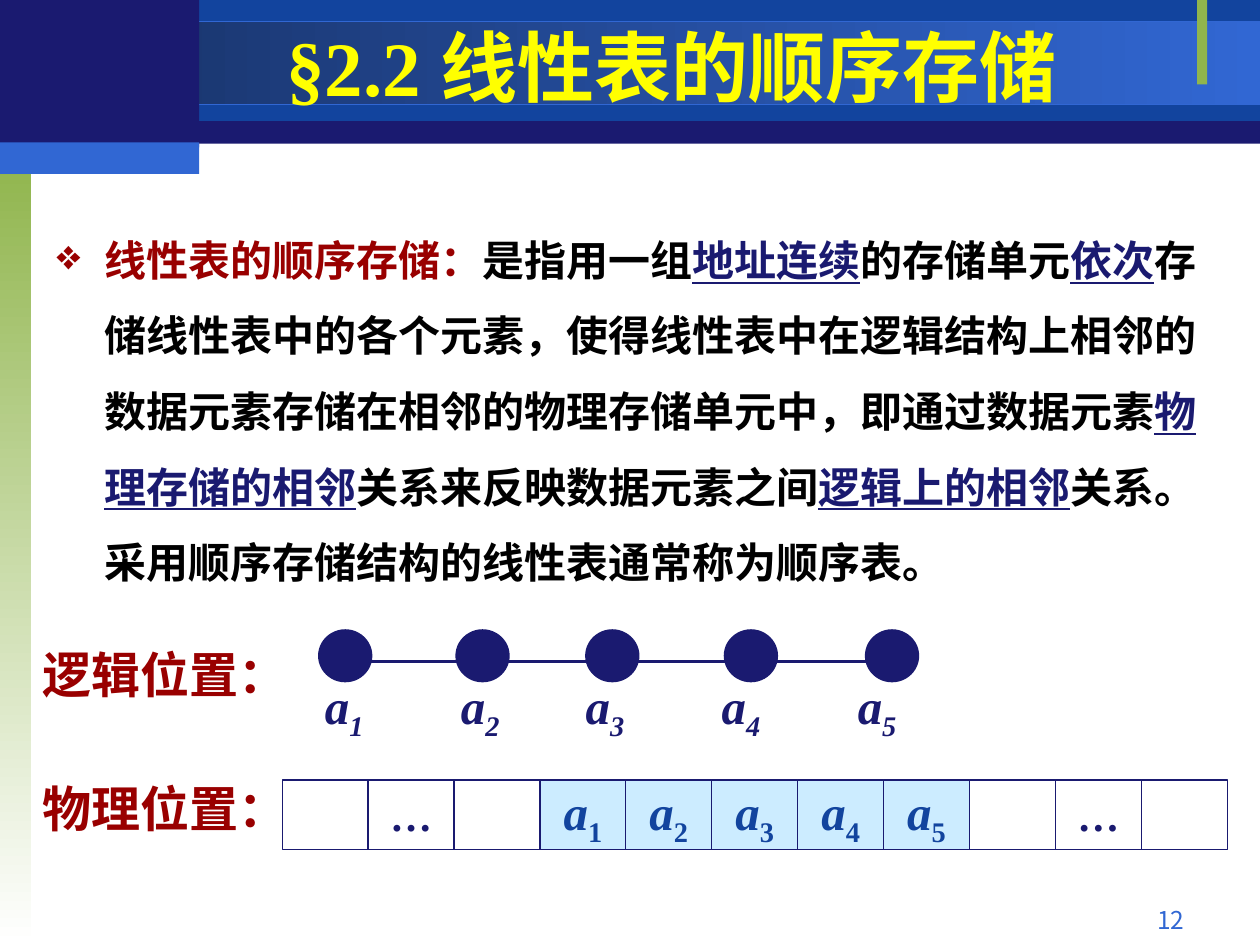
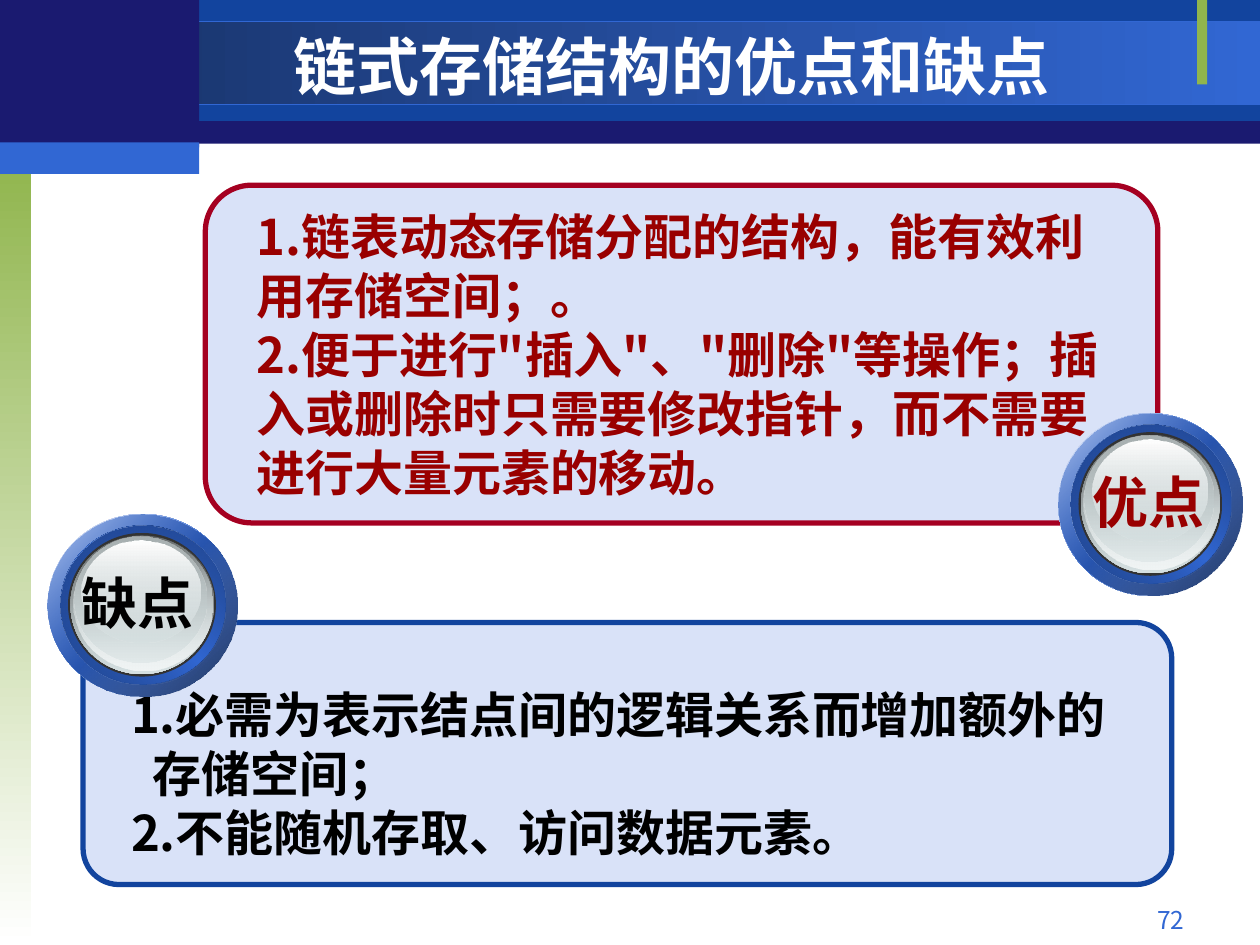
from lxml import etree
from pptx import Presentation
from pptx.dml.color import RGBColor
from pptx.enum import shapes, text
from pptx.oxml import ns
from pptx.util import Inches, Pt

# Colours
NAVY = RGBColor(0x1A, 0x1A, 0x70)
BLUE = RGBColor(0x12, 0x44, 0x9E)
BRIGHT = RGBColor(0x31, 0x67, 0xD3)
DEEP = RGBColor(0x17, 0x30, 0x62)
RIM = RGBColor(0x1B, 0x38, 0x72)
RIM_LIGHT = RGBColor(0x1F, 0x41, 0x86)
PANEL = RGBColor(0x87, 0xA3, 0xE9)
CELL = RGBColor(0xCC, 0xEC, 0xFF)
GREEN = RGBColor(0x90, 0xB5, 0x4D)
RED = RGBColor(0x99, 0x00, 0x00)
CRIMSON = RGBColor(0xA5, 0x00, 0x21)
YELLOW = RGBColor(0xFF, 0xFF, 0x00)
WHITE = RGBColor(0xFF, 0xFF, 0xFF)
BLACK = RGBColor(0x00, 0x00, 0x00)
CHARCOAL = RGBColor(0x33, 0x33, 0x33)
STEEL = RGBColor(0x63, 0x68, 0x69)
GREY = RGBColor(0xAA, 0xB2, 0xB3)
SILVER = RGBColor(0xD6, 0xE1, 0xE2)
PEARL = RGBColor(0xF1, 0xF5, 0xF5)

# Fonts
SANS = "Noto Sans CJK SC"
SERIF = "Times New Roman"
ARIAL = "Arial"

RECT = shapes.MSO_SHAPE.RECTANGLE
OVAL = shapes.MSO_SHAPE.OVAL
ROUND = shapes.MSO_SHAPE.ROUNDED_RECTANGLE
LEFT, CENTER, RIGHT = text.PP_ALIGN.LEFT, text.PP_ALIGN.CENTER, text.PP_ALIGN.RIGHT
TOP, MIDDLE = text.MSO_ANCHOR.TOP, text.MSO_ANCHOR.MIDDLE

# Layers of a glass badge: left, top, width, height, gradient stops
# (position, colour, opacity) and gradient angle
BADGE_LAYERS = [
    (0, 0, 1.46, 1.45, [(0, WHITE, 100), (50, BRIGHT, 100), (100, WHITE, 100)], 45),
    (0, 0, 1.46, 1.45, [(0, BRIGHT, 32), (100, DEEP, 100)], 45),
    (0.1, 0.09, 1.27, 1.26, [(0, RIM, 100), (50, BRIGHT, 100), (100, RIM, 100)], 315),
    (0.1, 0.09, 1.27, 1.26, [(0, RIM_LIGHT, 100), (100, BRIGHT, 0)], 45),
    (0.16, 0.15, 1.14, 1.14, [(0, CHARCOAL, 100), (100, CHARCOAL, 100)], 0),
    (0.18, 0.17, 1.1, 1.1, [(0, STEEL, 100), (100, SILVER, 100)], 90),
    (0.2, 0.17, 1.08, 1.07, [(0, SILVER, 0), (100, PEARL, 100)], 90),
    (0.21, 0.18, 1.02, 1, [(0, GREY, 100), (100, SILVER, 48)], 90),
    (0.27, 0.21, 0.91, 0.81, [(0, WHITE, 100), (100, SILVER, 38)], 90),
]


def set_opacity(color, percent):
    etree.SubElement(color, ns.qn("a:alpha")).set("val", str(percent * 1000))


def add_box(s, kind, x, y, w, h, fill=None, line=None, width=0.75):
    sp = s.shapes.add_shape(kind, Inches(x), Inches(y), Inches(w), Inches(h))
    sp.shadow.inherit = False
    if fill is None:
        sp.fill.background()
    else:
        sp.fill.solid()
        sp.fill.fore_color.rgb = fill
    if line is None:
        sp.line.fill.background()
    else:
        sp.line.color.rgb = line
        sp.line.width = Pt(width)
    return sp


def add_gradient(sp, stops, angle):
    """Replace the empty fill of a shape with a linear gradient."""
    grad = etree.Element(ns.qn("a:gradFill"), rotWithShape="1")
    stop_list = etree.SubElement(grad, ns.qn("a:gsLst"))
    for position, colour, opacity in stops:
        stop = etree.SubElement(stop_list, ns.qn("a:gs"), pos=str(position * 1000))
        color = etree.SubElement(stop, ns.qn("a:srgbClr"), val=str(colour))
        if opacity < 100:
            set_opacity(color, opacity)
    etree.SubElement(grad, ns.qn("a:lin"), ang=str(angle * 60000), scaled="0")
    props = sp._element.spPr
    props.replace(props.find(ns.qn("a:noFill")), grad)


def add_textbox(s, x, y, w, h, anchor=TOP, wrap=True):
    tf = s.shapes.add_textbox(Inches(x), Inches(y), Inches(w), Inches(h)).text_frame
    tf.word_wrap = wrap
    tf.vertical_anchor = anchor
    return tf


def add_run(p, words, size, colour, font=SANS, bold=True, italic=False,
            underline=False, subscript=False):
    r = p.add_run()
    r.text = words
    r.font.size = Pt(size)
    r.font.bold = bold
    r.font.italic = italic
    r.font.underline = underline
    r.font.color.rgb = colour
    r.font.name = font
    props = r._r.get_or_add_rPr()
    etree.SubElement(props, ns.qn("a:ea")).set("typeface", SANS)
    if subscript:
        props.set("baseline", "-25000")


def add_label(s, x, y, w, h, words, size, colour, font=SANS, align=LEFT,
              bold=True, anchor=TOP, wrap=True):
    p = add_textbox(s, x, y, w, h, anchor, wrap).paragraphs[0]
    p.alignment = align
    add_run(p, words, size, colour, font, bold)


def add_element_name(p, number, colour, italic_number):
    add_run(p, "a", 28, colour, SERIF, italic=True)
    add_run(p, str(number), 28, colour, SERIF, italic=italic_number, subscript=True)


def set_indent(p, margin, first):
    props = p._p.get_or_add_pPr()
    props.set("marL", str(Inches(margin)))
    props.set("indent", str(Inches(first)))
    return props


def add_frame(s, title, size, colour, font, number):
    """Header bands, side strip, title and page number."""
    add_box(s, RECT, 0, 0.01, 10, 1.13, NAVY)
    add_box(s, RECT, 1.58, 0, 8.42, 0.96, BLUE)
    band = add_box(s, RECT, 0, 0.17, 10, 0.66, line=BRIGHT)
    add_gradient(band, [(0, DEEP, 100), (100, BRIGHT, 100)], 0)
    strip = add_box(s, RECT, 0, 1.25, 0.25, 6.25)
    add_gradient(strip, [(0, GREEN, 100), (100, WHITE, 100)], 90)
    add_box(s, RECT, 9.5, 0, 0.08, 0.67, GREEN)
    add_box(s, RECT, 0, 0, 1.58, 1.17, NAVY)
    add_box(s, RECT, 0, 1.13, 1.58, 0.25, BRIGHT)
    add_label(s, 7.17, 7.13, 2.33, 0.27, number, 14, BRIGHT, align=RIGHT, bold=False)
    add_label(s, 1.58, 0.23, 7.5, 0.58, title, size, colour, font, CENTER, anchor=MIDDLE)


def add_definition(s):
    p = add_textbox(s, 0.35, 1.61, 9.29, 3.32).paragraphs[0]
    p.line_spacing = 1.5
    props = set_indent(p, 0.38, -0.38)
    bullet_colour = etree.SubElement(props, ns.qn("a:buClr"))
    etree.SubElement(bullet_colour, ns.qn("a:srgbClr"), val=str(RED))
    etree.SubElement(props, ns.qn("a:buChar"), char="❖")
    add_run(p, "线性表的顺序存储：", 24, RED)
    pieces = [
        "是指用一组", "地址连续", "的存储单元", "依次",
        "存储线性表中的各个元素，使得线性表中在逻辑结构上相邻的数据元素"
        "存储在相邻的物理存储单元中，即通过数据元素",
        "物理存储的相邻", "关系来反映数据元素之间", "逻辑上的相邻",
        "关系。采用顺序存储结构的线性表通常称为顺序表。",
    ]
    for i, piece in enumerate(pieces):  # every second piece is a key term
        key = i % 2 == 1
        add_run(p, piece, 24, NAVY if key else BLACK, underline=key)


def add_logical_row(s):
    add_label(s, 0.24, 5.07, 2.39, 0.56, "逻辑位置：", 28, RED, ARIAL)
    for x in (2.54, 3.63, 4.66, 5.76, 6.88):
        add_box(s, OVAL, x, 5.01, 0.4, 0.39, NAVY, NAVY, 2.25)
    link = s.shapes.add_connector(shapes.MSO_CONNECTOR.STRAIGHT, Inches(2.86),
                                  Inches(5.25), Inches(7.04), Inches(5.25))
    link.line.color.rgb = NAVY
    link.line.width = Pt(2.25)
    etree.SubElement(link._element.spPr, ns.qn("a:effectLst"))
    for number, x in enumerate((2.48, 3.56, 4.55, 5.63, 6.71), 1):
        tf = add_textbox(s, x, 5.31, 0.7, 0.63)
        add_element_name(tf.paragraphs[0], number, NAVY, True)


def add_memory_row(s):
    add_label(s, 0.24, 6.13, 2.39, 0.56, "物理位置：", 28, RED, ARIAL)
    pitch = 7.5 / 11
    for i, content in enumerate(["", "…", "", 1, 2, 3, 4, 5, "", "…", ""]):
        element = isinstance(content, int)
        sp = add_box(s, RECT, 2.24 + i * pitch, 6.19, pitch, 0.55,
                     CELL if element else None, NAVY)
        tf = sp.text_frame
        tf.word_wrap = False
        p = tf.paragraphs[0]
        p.alignment = CENTER
        if element:
            add_element_name(p, content, BLUE, False)
        elif content:
            add_run(p, content, 24, NAVY, SERIF)


def add_panel(s, x, y, w, h, line, colour, items, hanging=0, top_inset=0.05):
    sp = add_box(s, ROUND, x, y, w, h, PANEL, line, 3)
    sp.adjustments[0] = 0.137
    set_opacity(sp._element.spPr.find(ns.qn("a:solidFill"))[0], 31)
    tf = sp.text_frame
    tf.word_wrap = True
    tf.vertical_anchor = MIDDLE
    tf.margin_top = Inches(top_inset)
    for i, item in enumerate(items):
        p = tf.add_paragraph() if i else tf.paragraphs[0]
        p.alignment = LEFT
        set_indent(p, 0.2 + hanging, -hanging)
        add_run(p, item, 28, colour)


def add_badge(s, x, y, stretch, words, colour):
    for dx, dy, w, h, stops, angle in BADGE_LAYERS:
        disc = add_box(s, OVAL, x + dx, y + dy, w * stretch, h)
        add_gradient(disc, stops, angle)
    add_label(s, x + 0.17, y + 0.38, 1.09, 0.64, words, 32, colour, ARIAL,
              CENTER, wrap=False)


def main():
    prs = Presentation()
    prs.slide_width, prs.slide_height = Inches(10), Inches(7.5)
    blank = prs.slide_layouts[6]

    # Sequential storage
    s = prs.slides.add_slide(blank)
    add_frame(s, "§2.2 线性表的顺序存储", 44, YELLOW, SERIF, "12")
    add_definition(s)
    add_memory_row(s)
    add_logical_row(s)

    # Pros and cons of linked storage
    s = prs.slides.add_slide(blank)
    add_frame(s, "链式存储结构的优点和缺点", 36, WHITE, SANS, "72")
    add_panel(s, 1.63, 1.47, 7.56, 2.68, CRIMSON, RED, [
        "1.链表动态存储分配的结构，能有效利用存储空间；。",
        "2.便于进行\"插入\"、\"删除\"等操作；插入或删除时只需要修改指针，"
        "而不需要进行大量元素的移动。",
    ])
    add_badge(s, 8.4, 3.28, 1, "优点", RED)
    add_panel(s, 0.66, 4.94, 8.64, 2.08, BLUE, BLACK, [
        "1.必需为表示结点间的逻辑关系而增加额外的存储空间；",
        "2.不能随机存取、访问数据元素。",
    ], hanging=0.17, top_inset=0.36)
    add_badge(s, 0.38, 4.08, 1.03, "缺点", BLACK)

    prs.save("out.pptx")


if __name__ == "__main__":
    main()
